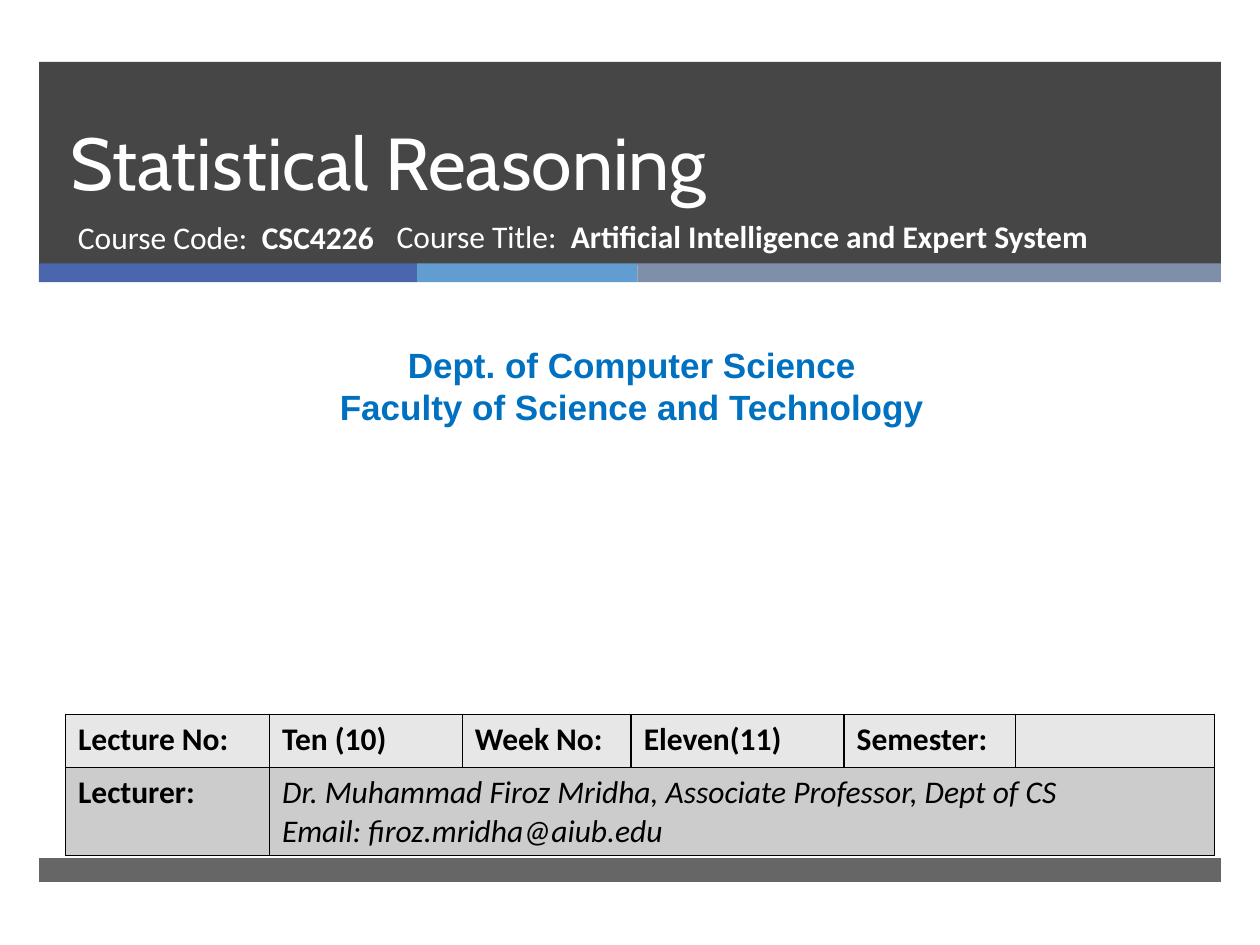
from lxml import etree
from pptx import Presentation
from pptx.dml.color import RGBColor
from pptx.enum.shapes import MSO_SHAPE
from pptx.enum.text import MSO_ANCHOR, MSO_AUTO_SIZE, PP_ALIGN
from pptx.oxml import parse_xml
from pptx.oxml.ns import nsdecls, qn
from pptx.util import Inches, Pt

WHITE = RGBColor(0xFF, 0xFF, 0xFF)
BLACK = RGBColor(0x00, 0x00, 0x00)
CHARCOAL = RGBColor(0x26, 0x26, 0x26)
INDIGO = RGBColor(0x4A, 0x66, 0xAC)
SKY = RGBColor(0x62, 0x9D, 0xD1)
SLATE = RGBColor(0x7F, 0x8F, 0xA9)
BLUE = RGBColor(0x00, 0x70, 0xC0)
LIGHT_GRAY = RGBColor(0xE7, 0xE7, 0xE7)
MID_GRAY = RGBColor(0xCC, 0xCC, 0xCC)


def add_run(paragraph, text, font, size, color, bold=False, italic=False):
    run = paragraph.add_run()
    run.text = text
    run.font.name = font
    run.font.size = Pt(size)
    run.font.color.rgb = color
    run.font.bold = bold
    run.font.italic = italic


presentation = Presentation()
presentation.slide_width = Inches(10)
presentation.slide_height = Inches(7.5)
slide = presentation.slides.add_slide(presentation.slide_layouts[5])

# Bars: left, top, width, height, colour, opacity in percent
bars = [
    (0.31, 0.49, 9.38, 1.61, CHARCOAL, 85),
    (0.31, 2.09, 3, 0.15, INDIGO, 100),
    (3.31, 2.09, 1.75, 0.15, SKY, 100),
    (5.06, 2.09, 4.63, 0.15, SLATE, 100),
    (0.31, 6.81, 9.38, 0.19, CHARCOAL, 70),
]
for left, top, width, height, color, opacity in bars:
    bar = slide.shapes.add_shape(
        MSO_SHAPE.RECTANGLE, Inches(left), Inches(top), Inches(width), Inches(height))
    bar.shadow.inherit = False
    bar.fill.solid()
    bar.fill.fore_color.rgb = color
    bar.line.fill.background()
    if opacity < 100:
        color_element = bar.element.spPr.find(qn("a:solidFill"))[0]
        etree.SubElement(color_element, qn("a:alpha")).set("val", str(opacity * 1000))

# Title, brought in front of the dark band
title = slide.shapes.title
slide.shapes.element.append(title.element)
title.left, title.top = Inches(0.46), Inches(0.49)
title.width, title.height = Inches(8.54), Inches(1.19)
title.text_frame.auto_size = MSO_AUTO_SIZE.NONE
title.text_frame.word_wrap = True
title.text_frame.vertical_anchor = MSO_ANCHOR.BOTTOM
paragraph = title.text_frame.paragraphs[0]
paragraph.alignment = PP_ALIGN.LEFT
paragraph.line_spacing = Pt(46)
add_run(paragraph, "Statistical Reasoning", "Cabin", 42, WHITE)

# Course details
course_details = [
    (0.52, 1.68, 3.05, "Course Code:  ", "CSC4226"),
    (3.05, 1.67, 5.72, "Course Title:  ", "Artificial Intelligence and Expert System"),
]
for left, top, width, label, value in course_details:
    box = slide.shapes.add_textbox(Inches(left), Inches(top), Inches(width), Inches(0.53))
    box.text_frame.word_wrap = True
    paragraph = box.text_frame.paragraphs[0]
    add_run(paragraph, label, "Calibri", 18, WHITE)
    add_run(paragraph, value, "Calibri", 18, WHITE, bold=True)

# Department
department = slide.shapes.add_textbox(Inches(0.08), Inches(2.68), Inches(9.87), Inches(0.77))
frame = department.text_frame
frame.word_wrap = True
for index, text in enumerate(["Dept. of Computer Science", "Faculty of Science and Technology"]):
    paragraph = frame.add_paragraph() if index else frame.paragraphs[0]
    paragraph.alignment = PP_ALIGN.CENTER
    add_run(paragraph, text, "Arial", 20, BLUE, bold=True)

# Lecture table
column_widths = [1.62, 1.53, 1.34, 1.69, 1.36, 1.58]
row_heights = [0.42, 0.69]
table = slide.shapes.add_table(
    2, 6, Inches(0.52), Inches(5.67), Inches(9.12), Inches(1.11)).table
for column, width in zip(table.columns, column_widths):
    column.width = Inches(width)
for row, height, fill in zip(table.rows, row_heights, [LIGHT_GRAY, MID_GRAY]):
    row.height = Inches(height)
    for cell in row.cells:
        properties = cell._tc.get_or_add_tcPr()
        for side in ("L", "R", "T", "B"):
            properties.append(parse_xml(
                f'<a:ln{side} {nsdecls("a")} w="12700"><a:solidFill>'
                f'<a:srgbClr val="{BLACK}"/></a:solidFill></a:ln{side}>'))
        cell.fill.solid()
        cell.fill.fore_color.rgb = fill
table.cell(1, 1).merge(table.cell(1, 5))

headings = ["Lecture No:", "Ten (10)", "Week No:", "Eleven(11)", "Semester:"]
for column, text in enumerate(headings):
    add_run(table.cell(0, column).text_frame.paragraphs[0], text, "Calibri", 18, BLACK, bold=True)
table.cell(0, 5).text_frame.paragraphs[0].font.size = Pt(18)
add_run(table.cell(1, 0).text_frame.paragraphs[0], "Lecturer:", "Calibri", 18, BLACK, bold=True)
frame = table.cell(1, 1).text_frame
lecturer_lines = [
    "Dr. Muhammad Firoz Mridha, Associate Professor, Dept of CS",
    "Email: firoz.mridha@aiub.edu",
]
for index, text in enumerate(lecturer_lines):
    paragraph = frame.add_paragraph() if index else frame.paragraphs[0]
    add_run(paragraph, text, "Calibri", 18, BLACK, italic=True)

presentation.save("out.pptx")
